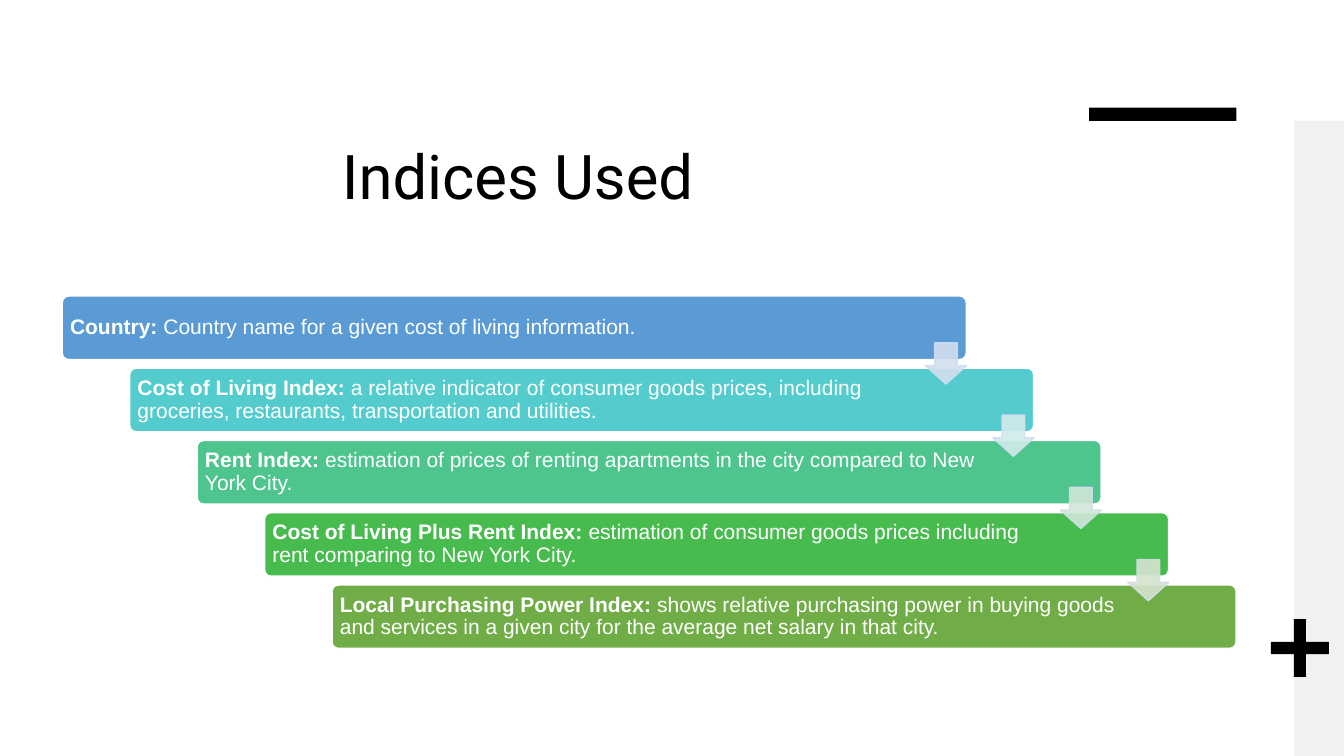
from lxml import etree
from pptx import Presentation
from pptx.dml.color import RGBColor
from pptx.enum.shapes import MSO_SHAPE as Preset
from pptx.enum.text import MSO_ANCHOR as Anchor, PP_ALIGN as Align
from pptx.oxml.ns import qn
from pptx.util import Cm, Pt

COLORS = {
    "black": "000000",
    "white": "FFFFFF",
    "strip": "F2F1F1",
    "arrow_line": "D2DEEF",
}
# Term, definition, bar colour, colour of the arrow to the next bar
INDICES = [
    ("Country: ", "Country name for a given cost of living information.",
     "5B9BD5", "D2DEEF"),
    ("Cost of Living Index: ",
     "a relative indicator of consumer goods prices, including groceries, "
     "restaurants, transportation and utilities.",
     "54CCCD", "D0ECEA"),
    ("Rent Index: ",
     "estimation of prices of renting apartments in the city compared to "
     "New York City.",
     "4DC58D", "D0E7D8"),
    ("Cost of Living Plus Rent Index: ",
     "estimation of consumer goods prices including rent comparing to "
     "New York City.",
     "48BB4F", "D5E3CF"),
    ("Local Purchasing Power Index: ",
     "shows relative purchasing power in buying goods and services in a "
     "given city for the average net salary in that city.",
     "70AD47", None),
]
STEP_X, STEP_Y = 1.7, 1.82

presentation = Presentation()
presentation.slide_width, presentation.slide_height = Cm(33.87), Cm(19.05)
slide = presentation.slides.add_slide(presentation.slide_layouts[6])


def add_block(preset, left, top, width, height, fill, line=None):
    shape = slide.shapes.add_shape(
        preset, Cm(left), Cm(top), Cm(width), Cm(height))
    shape.shadow.inherit = False
    shape.fill.solid()
    shape.fill.fore_color.rgb = RGBColor.from_string(fill)
    if line:
        shape.line.color.rgb = RGBColor.from_string(line)
        shape.line.width = Pt(1)
    else:
        shape.line.fill.background()
    return shape


def add_run(paragraph, text, size, font, color, bold=False):
    run = paragraph.add_run()
    run.text = text
    run.font.size = Pt(size)
    run.font.name = font
    run.font.bold = bold
    run.font.color.rgb = RGBColor.from_string(color)


# Title
title = slide.shapes.add_textbox(Cm(1.57), Cm(3.35), Cm(22.96), Cm(4.01))
title.text_frame.word_wrap = True
paragraph = title.text_frame.paragraphs[0]
paragraph.alignment = Align.CENTER
add_run(paragraph, "Indices Used", 44, "Roboto", COLORS["black"])

# Side strip, accent bar and plus sign
add_block(Preset.RECTANGLE, 32.61, 3.05, 1.26, 16, COLORS["strip"])
add_block(Preset.RECTANGLE, 27.45, 2.71, 3.71, 0.34, COLORS["black"])
plus = add_block(Preset.CROSS, 32.03, 15.6, 1.46, 1.46, COLORS["black"])
plus.adjustments[0] = 0.395

# Staircase of index bars
for step, (term, definition, bar_color, _) in enumerate(INDICES):
    bar = add_block(Preset.ROUNDED_RECTANGLE, 1.57 + step * STEP_X,
                    7.46 + step * STEP_Y, 22.78, 1.6,
                    bar_color, COLORS["white"])
    bar.adjustments[0] = 0.1
    frame = bar.text_frame
    frame.word_wrap = True
    frame.vertical_anchor = Anchor.MIDDLE
    frame.margin_left = frame.margin_top = frame.margin_bottom = Cm(0.15)
    frame.margin_right = Cm(2.88)
    paragraph = frame.paragraphs[0]
    paragraph.alignment = Align.LEFT
    paragraph.line_spacing = 0.9
    add_run(paragraph, term, 15, "Arial", COLORS["white"], bold=True)
    add_run(paragraph, definition, 15, "Arial", COLORS["white"])

# Translucent arrows between the bars
for step, (_, _, _, arrow_color) in enumerate(INDICES[:-1]):
    arrow = add_block(Preset.DOWN_ARROW, 23.32 + step * STEP_X,
                      8.64 + step * STEP_Y, 1.04, 1.04,
                      arrow_color, COLORS["arrow_line"])
    arrow.adjustments[0] = 0.55
    arrow.adjustments[1] = 0.45
    for color in arrow.element.spPr.iter(qn("a:srgbClr")):
        etree.SubElement(color, qn("a:alpha"), val="90000")

presentation.save("out.pptx")
